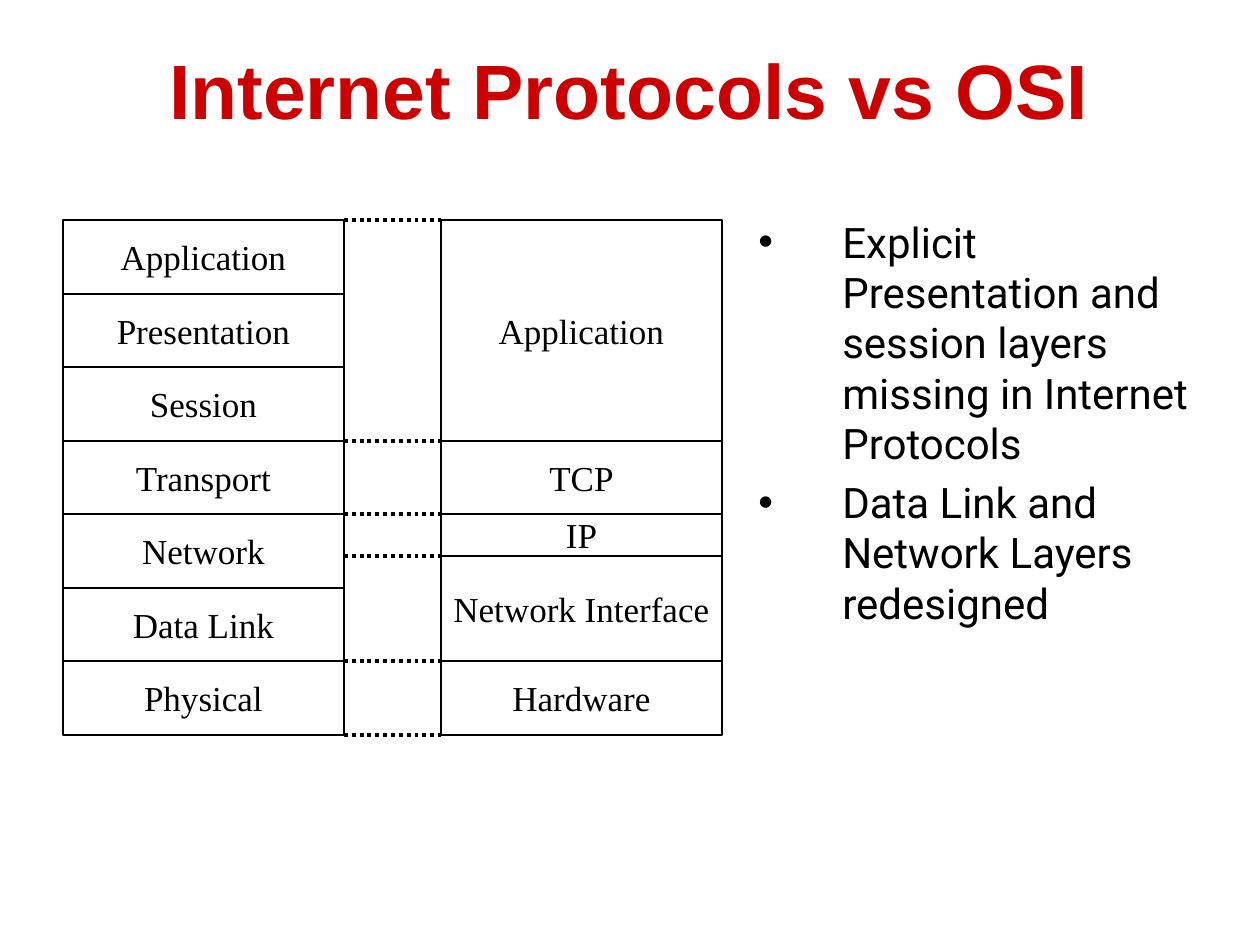
from pptx import Presentation
from pptx.dml.color import RGBColor
from pptx.enum.dml import MSO_LINE
from pptx.enum.shapes import MSO_CONNECTOR, MSO_SHAPE
from pptx.enum.text import MSO_ANCHOR, MSO_AUTO_SIZE, PP_ALIGN
from pptx.oxml.ns import qn
from pptx.util import Emu, Pt
from lxml.etree import SubElement

PX = 914400 // 126
BLACK, WHITE, RED = "000000", "FFFFFF", "CC0000"


def px(*lengths):
    """Turn pixels into EMU."""
    return [Emu(n * PX) for n in lengths]


def rgb(value):
    """Turn a hex string into a colour."""
    return RGBColor.from_string(value)


class Deck:
    """Holds the style and the current slide."""

    def __init__(self):
        """Start a presentation with one title-only slide."""
        self.prs = Presentation()
        self.prs.slide_width, self.prs.slide_height = px(1260, 945)
        self.s = self.prs.slides.add_slide(self.prs.slide_layouts[5])

    def style(self, p, font, size, color=BLACK, bold=False):
        """Format every run of a paragraph."""
        for r in p.runs:
            r.font.name, r.font.size, r.font.bold = font, Pt(size), bold
            r.font.color.rgb = rgb(color)

    def title(self, text, *box):
        """Place and format the title."""
        sp = self.s.shapes.title
        sp.left, sp.top, sp.width, sp.height = px(*box)
        tf = sp.text_frame
        tf.text = text
        tf.auto_size = MSO_AUTO_SIZE.NONE
        tf.vertical_anchor = MSO_ANCHOR.MIDDLE
        tf.paragraphs[0].alignment = PP_ALIGN.CENTER
        self.style(tf.paragraphs[0], "Arial", 44, RED, True)

    def bullets(self, items, *box):
        """Add a bulleted text box."""
        tf = self.s.shapes.add_textbox(*px(*box)).text_frame
        tf.word_wrap = True
        tf.text = "\n".join(items)
        indent = px(84)[0]
        for p in tf.paragraphs:
            p.space_before = Pt(4.8)
            self.style(p, "Roboto", 24)
            pPr = p._p.get_or_add_pPr()
            pPr.set("marL", str(indent))
            pPr.set("indent", str(-indent))
            SubElement(pPr, qn("a:buFont"), typeface="Arial")
            SubElement(pPr, qn("a:buChar"), char="•")

    def layer(self, text, *box):
        """Add one outlined layer box."""
        sp = self.s.shapes.add_shape(MSO_SHAPE.RECTANGLE, *px(*box))
        sp.shadow.inherit = False
        sp.fill.solid()
        sp.fill.fore_color.rgb = rgb(WHITE)
        sp.line.color.rgb = rgb(BLACK)
        sp.line.width = Pt(1)
        tf = sp.text_frame
        tf.text = text
        tf.word_wrap = False
        tf.vertical_anchor = MSO_ANCHOR.MIDDLE
        tf.paragraphs[0].alignment = PP_ALIGN.CENTER
        self.style(tf.paragraphs[0], "Times New Roman", 20)

    def stack(self, names, edges, left, width):
        """Add layers between successive edges."""
        for name, top, bottom in zip(names, edges, edges[1:]):
            self.layer(name, left, top, width, bottom - top)

    def dotted(self, *ends):
        """Add a dotted line."""
        line = self.s.shapes.add_connector(MSO_CONNECTOR.STRAIGHT, *px(*ends))
        line.line.color.rgb = rgb(BLACK)
        line.line.width = Pt(2.25)
        line.line.dash_style = MSO_LINE.ROUND_DOT
        SubElement(line._element.spPr, qn("a:effectLst"))


def main():
    """Build the slide."""
    deck = Deck()
    deck.title("Internet Protocols vs OSI", 94, 10, 1071, 158)
    deck.bullets(["Explicit Presentation and session layers missing in Internet Protocols",
                  "Data Link and Network Layers redesigned"], 746, 210, 483, 683)

    osi_left, tcp_left, width = 63, 441, 281
    osi_edges = [147 * n // 2 for n in range(3, 11)]
    ip_bottom = 556
    tcp_edges = [osi_edges[0], *osi_edges[3:5], ip_bottom, *osi_edges[6:]]
    deck.stack(["Application", "Presentation", "Session", "Transport",
                "Network", "Data Link", "Physical"], osi_edges, osi_left, width)
    deck.stack(["Application", "TCP", "IP", "Network Interface", "Hardware"],
               tcp_edges, tcp_left, width)
    for y in tcp_edges:
        deck.dotted(osi_left + width, y, tcp_left, y)
    deck.prs.save("out.pptx")


main()
